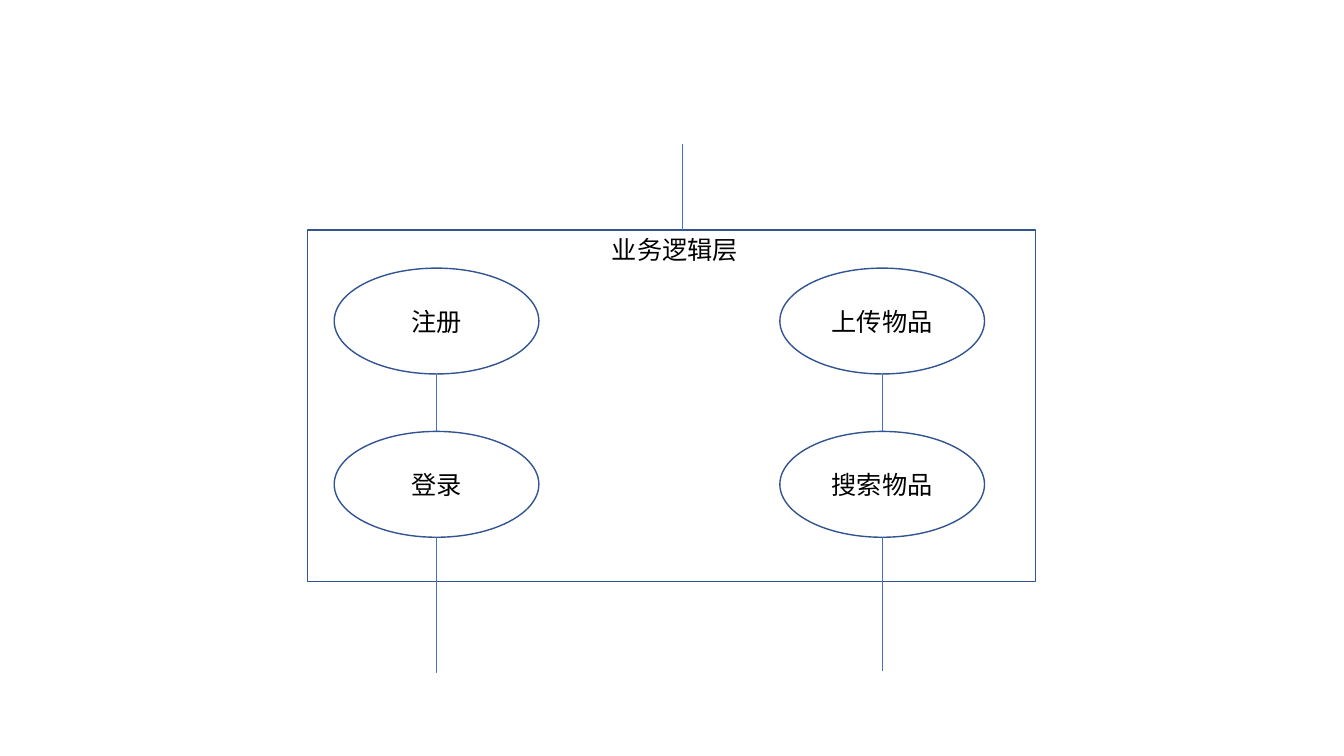
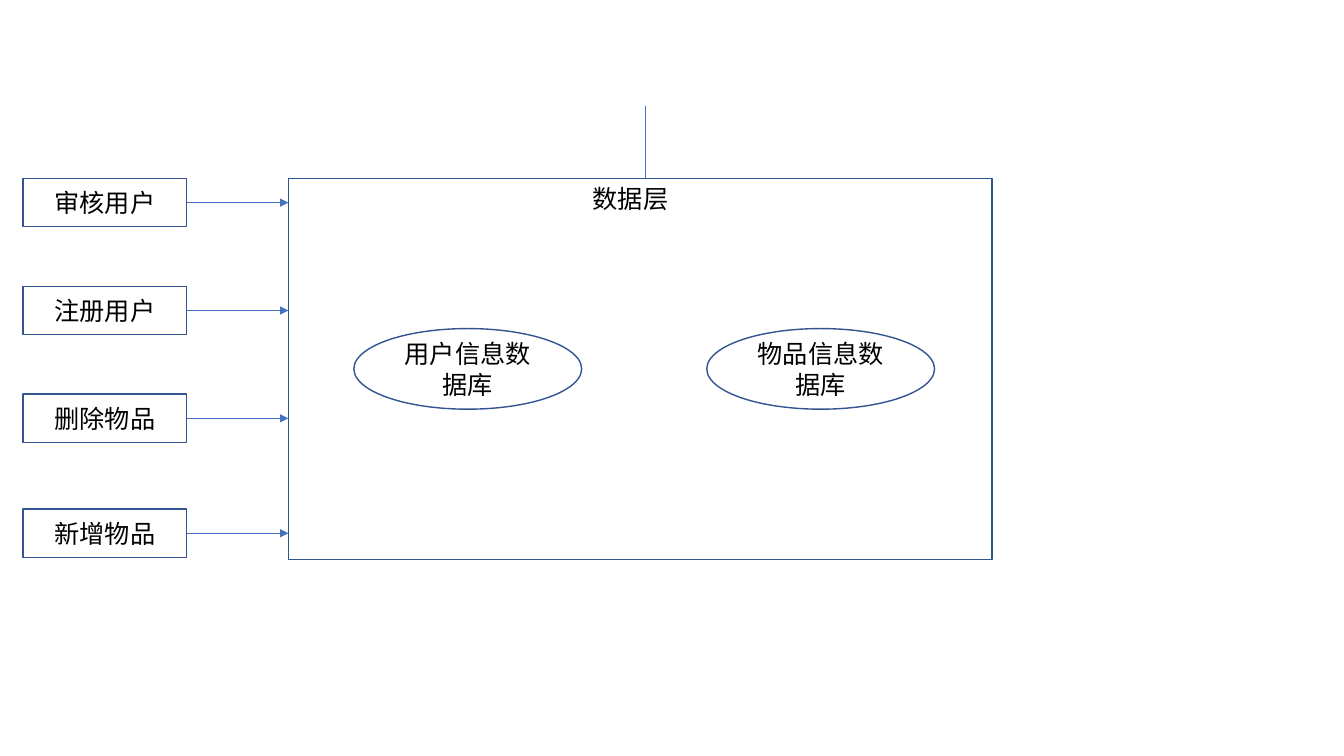
import pptx
import pptx.dml.color
import pptx.enum.shapes
import pptx.enum.text
import pptx.oxml
import pptx.oxml.ns
import pptx.util
from pptx.util import Inches

RGBColor = pptx.dml.color.RGBColor
SHAPE = pptx.enum.shapes.MSO_SHAPE
ALIGN = pptx.enum.text.PP_ALIGN
ANCHOR = pptx.enum.text.MSO_ANCHOR

WHITE = RGBColor(0xFF, 0xFF, 0xFF)
BLACK = RGBColor(0x00, 0x00, 0x00)
OUTLINE = RGBColor(0x32, 0x54, 0x91)
LINK = RGBColor(0x44, 0x72, 0xC4)
FONT = "Noto Sans CJK SC"
TEXT_FORMAT = {"name": FONT, "size": pptx.util.Pt(18)}

# Business logic layer: frame, label and columns of (centre x, end of lower link, steps)
LOGIC_FRAME = (3.05, 2.28, 7.22, 3.49)
LOGIC_LABEL = ("业务逻辑层", (5.97, 2.28, 1.77, 0.4))
LOGIC_INLET = (6.77, 1.43)
LOGIC_COLUMNS = [
    (4.33, 6.68, ["注册", "登录"]),
    (8.75, 6.66, ["上传物品", "搜索物品"]),
]
STEP_W, STEP_H, STEP_TOP, STEP_PITCH = 2.03, 1.05, 2.66, 1.62

# Data layer: frame, label, databases by left edge, operations by top edge
DATA_FRAME = (2.86, 1.77, 6.98, 3.78)
DATA_LABEL = ("数据层", (5.78, 1.77, 1.23, 0.42))
DATA_INLET = (6.4, 1.05)
DATABASES = [("用户信息数据库", 3.51), ("物品信息数据库", 7.01)]
DB_TOP, DB_W, DB_H = 3.26, 2.26, 0.8
OPERATIONS = [("审核用户", 1.77), ("注册用户", 2.84), ("删除物品", 3.91), ("新增物品", 5.05)]
OP_LEFT, OP_W, OP_H = 0.23, 1.62, 0.48


def write(shape, text):
    """Put one line of text in the shared style into a shape; return its paragraph."""
    tf = shape.text_frame
    tf.word_wrap = True
    p = tf.paragraphs[0]
    r = p.add_run()
    r.text = text
    for key, value in TEXT_FORMAT.items():
        setattr(r.font, key, value)
    r.font.color.rgb = BLACK
    ea = pptx.oxml.parse_xml(f'<a:ea {pptx.oxml.ns.nsdecls("a")} typeface="{FONT}"/>')
    r.font._element.append(ea)
    return p


def add_node(s, kind, box, text=""):
    """Add a white outlined shape with optional centred text."""
    sp = s.shapes.add_shape(kind, *map(Inches, box))
    sp.shadow.inherit = False
    sp.fill.solid()
    sp.fill.fore_color.rgb = WHITE
    sp.line.color.rgb = OUTLINE
    sp.line.width = pptx.util.Pt(1)
    if text:
        write(sp, text).alignment = ALIGN.CENTER
        sp.text_frame.vertical_anchor = ANCHOR.MIDDLE
    return sp


def add_link(s, start, end, arrow=False):
    """Add a thin straight connector, with an arrowhead at its end if wanted."""
    cx = s.shapes.add_connector(pptx.enum.shapes.MSO_CONNECTOR.STRAIGHT,
                                *map(Inches, (*start, *end)))
    cx.line.color.rgb = LINK
    cx.line.width = pptx.util.Pt(0.5)
    ns = pptx.oxml.ns.nsdecls("a")
    if arrow:
        cx.line._get_or_add_ln().append(pptx.oxml.parse_xml(f'<a:tailEnd {ns} type="triangle"/>'))
    cx._element.spPr.append(pptx.oxml.parse_xml(f"<a:effectLst {ns}/>"))
    return cx


def add_layer(prs, frame, label, inlet):
    """Add a slide with a layer frame, its label and the link entering from above."""
    s = prs.slides.add_slide(prs.slide_layouts[6])
    add_node(s, SHAPE.RECTANGLE, frame)
    text, box = label
    write(s.shapes.add_textbox(*map(Inches, box)), text)
    add_link(s, inlet, (inlet[0], frame[1]))
    return s


def build_logic(prs):
    """Build the business logic layer: two columns of linked steps."""
    s = add_layer(prs, LOGIC_FRAME, LOGIC_LABEL, LOGIC_INLET)
    for x, outlet, steps in LOGIC_COLUMNS:
        tops = [STEP_TOP + i * STEP_PITCH for i in range(len(steps))]
        for text, top, end in zip(steps, tops, tops[1:] + [outlet]):
            add_node(s, SHAPE.OVAL, (x - STEP_W / 2, top, STEP_W, STEP_H), text)
            add_link(s, (x, top + STEP_H), (x, end))


def build_data(prs):
    """Build the data layer: databases in the frame, operations pointing at it."""
    s = add_layer(prs, DATA_FRAME, DATA_LABEL, DATA_INLET)
    for text, left in DATABASES:
        add_node(s, SHAPE.OVAL, (left, DB_TOP, DB_W, DB_H), text)
    for text, top in OPERATIONS:
        op = add_node(s, SHAPE.RECTANGLE, (OP_LEFT, top, OP_W, OP_H), text)
        y = top + OP_H / 2
        link = add_link(s, (OP_LEFT + OP_W, y), (DATA_FRAME[0], y), arrow=True)
        link.begin_connect(op, 3)


prs = pptx.Presentation()
prs.slide_width, prs.slide_height = Inches(13.33), Inches(7.5)
build_logic(prs)
build_data(prs)
prs.save("out.pptx")
